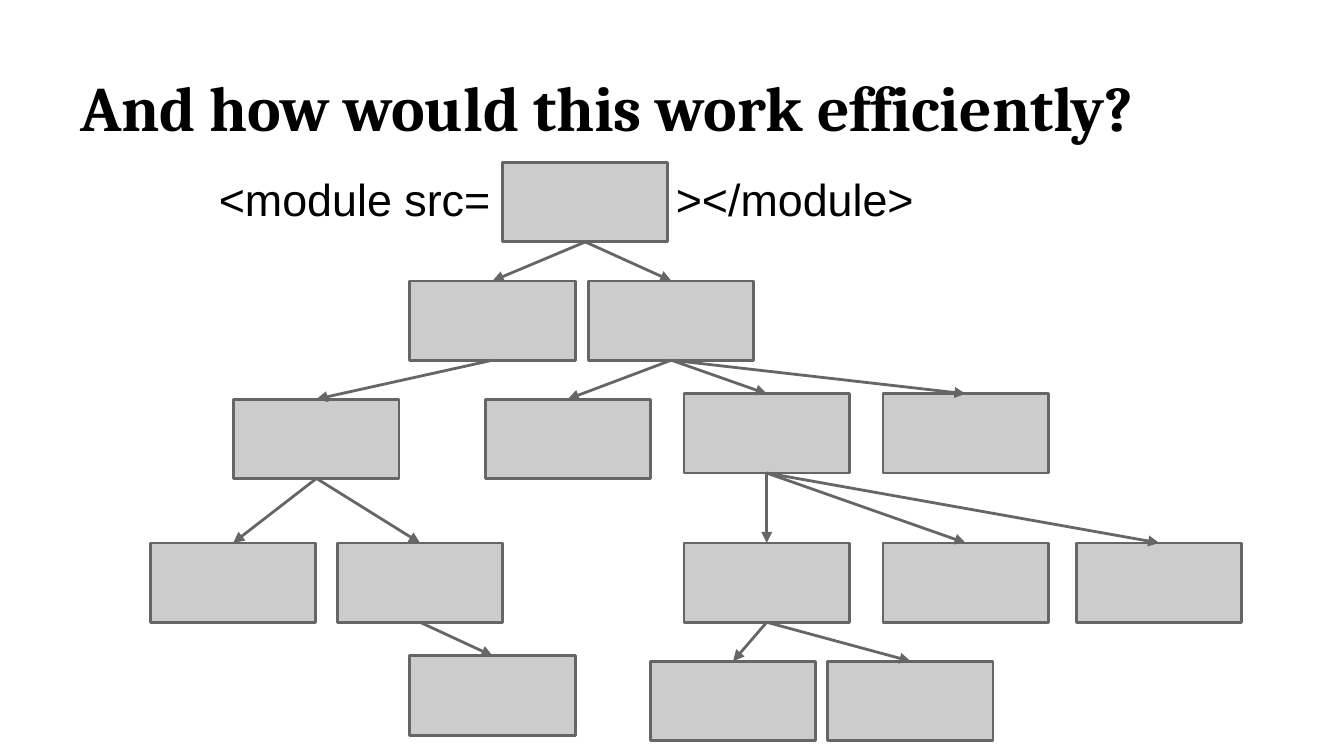
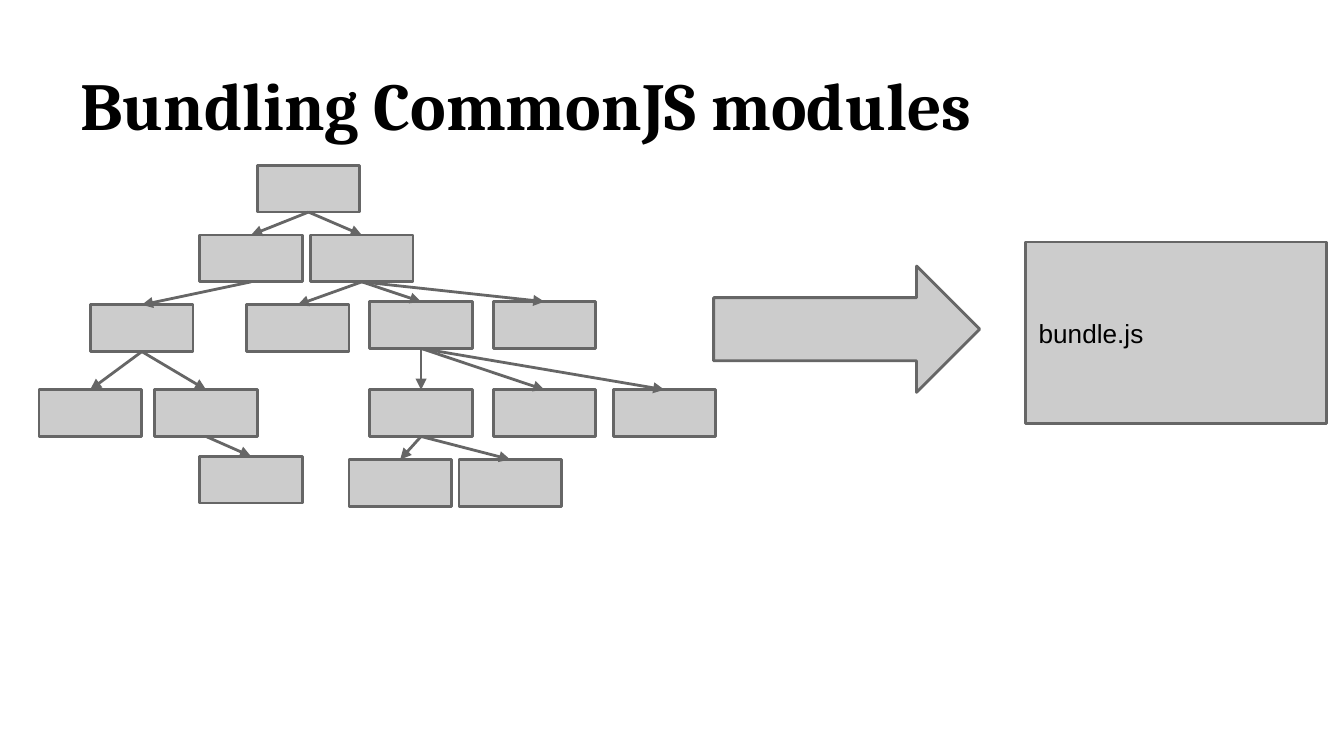
from lxml.etree import SubElement
from pptx import Presentation
from pptx.dml.color import RGBColor
from pptx.enum.shapes import MSO_CONNECTOR as CONNECTOR, MSO_SHAPE as SHAPE
from pptx.enum.text import MSO_ANCHOR as ANCHOR, PP_ALIGN as ALIGN
from pptx.oxml.ns import qn
from pptx.util import Inches, Pt

COLORS = {"paper": "FFFFFF", "ink": "000000", "box": "CCCCCC", "edge": "666666"}
HEAD_FONT, BODY_FONT = "Cambria", "Arial"
WIDTH = Inches(10)
HEIGHT = WIDTH * 9 // 16
CELL = WIDTH // 100  # grid of 100 columns; rows are equally tall
BOTTOM, TOP = 2, 0  # connection sites of a rectangle
BOX_SIZE = (12.3, 5.9)

# module: (parent, column, row), counted from the tree's top left corner
MODULES = {
    "root": (None, 26.2, 0),
    "a": ("root", 19.3, 8.8),
    "b": ("root", 32.6, 8.8),
    "a1": ("a", 6.2, 17.6),
    "b1": ("b", 24.9, 17.6),
    "b2": ("b", 39.7, 17.2),
    "b3": ("b", 54.5, 17.2),
    "a1x": ("a1", 0, 28.3),
    "a1y": ("a1", 13.9, 28.3),
    "b2x": ("b2", 39.7, 28.3),
    "b2y": ("b2", 54.5, 28.3),
    "b2z": ("b2", 68.9, 28.3),
    "a1y1": ("a1y", 19.3, 36.7),
    "b2x1": ("b2x", 37.2, 37.1),
    "b2x2": ("b2x", 50.4, 37.1),
}


def color(name):
    return RGBColor.from_string(COLORS[name])


def grid(*cells):
    return [round(n * CELL) for n in cells]


def outline(line):
    line.color.rgb = color("edge")
    line.width = Pt(1.5)


def write(shape, text, size, font=BODY_FONT, bold=False, anchor=ANCHOR.TOP, tab=None):
    """Fill a shape with one left-aligned paragraph; tab is a stop in columns."""
    frame = shape.text_frame
    frame.word_wrap = True
    frame.vertical_anchor = anchor
    frame.margin_left = frame.margin_right = CELL
    frame.margin_top = frame.margin_bottom = CELL
    paragraph = frame.paragraphs[0]
    paragraph.alignment = ALIGN.LEFT
    if tab:
        stops = SubElement(paragraph._p.get_or_add_pPr(), qn("a:tabLst"))
        SubElement(stops, qn("a:tab"), pos=str(round(tab * CELL)), algn="l")
    paragraph.add_run().text = text
    paragraph.font.name = font
    paragraph.font.size = Pt(size)
    paragraph.font.bold = bold
    paragraph.font.color.rgb = color("ink")


def add_block(slide, kind, *place):
    block = slide.shapes.add_shape(kind, *grid(*place))
    block.shadow.inherit = False
    block.fill.solid()
    block.fill.fore_color.rgb = color("box")
    outline(block.line)
    return block


def add_arrow(slide, parent, child):
    arrow = slide.shapes.add_connector(CONNECTOR.STRAIGHT, 0, 0, 0, 0)
    arrow.begin_connect(parent, BOTTOM)
    arrow.end_connect(child, TOP)
    outline(arrow.line)
    SubElement(arrow.line._get_or_add_ln(), qn("a:tailEnd"), type="triangle")
    SubElement(arrow._element.spPr, qn("a:effectLst"))


def add_module_tree(slide, left, top, scale_x=1, scale_y=1):
    box_width, box_height = BOX_SIZE
    boxes = {
        name: add_block(slide, SHAPE.RECTANGLE,
                        left + col * scale_x, top + row * scale_y,
                        box_width * scale_x, box_height * scale_y)
        for name, (_, col, row) in MODULES.items()
    }
    for name, (parent, _, _) in MODULES.items():
        if parent:
            add_arrow(slide, boxes[parent], boxes[name])


def add_titled_slide(deck, title, size):
    slide = deck.slides.add_slide(deck.slide_layouts[6])
    slide.background.fill.solid()
    slide.background.fill.fore_color.rgb = color("paper")
    heading = slide.shapes.add_textbox(*grid(5, 2.3, 90, 9.4))
    write(heading, title, size, HEAD_FONT, bold=True, anchor=ANCHOR.BOTTOM)
    return slide


def add_question_slide(deck):
    slide = add_titled_slide(deck, "And how would this work efficiently?", 34)
    add_module_tree(slide, 11.2, 12.1)
    tag = slide.shapes.add_textbox(*grid(15.3, 11.8, 56.2, 6.6))
    write(tag, "<module src=\t></module>", 24, tab=34)


def add_bundling_slide(deck):
    slide = add_titled_slide(deck, "Bundling CommonJS modules", 36)
    add_module_tree(slide, 2.9, 12.3, 0.62, 0.59)
    add_block(slide, SHAPE.RIGHT_ARROW, 53.1, 19.8, 19.8, 9.4)
    bundle = add_block(slide, SHAPE.RECTANGLE, 76.3, 18, 22.4, 13.5)
    write(bundle, "bundle.js", 14, anchor=ANCHOR.MIDDLE)


def main():
    deck = Presentation()
    deck.slide_width, deck.slide_height = WIDTH, HEIGHT
    add_question_slide(deck)
    add_bundling_slide(deck)
    deck.save("out.pptx")


if __name__ == "__main__":
    main()
